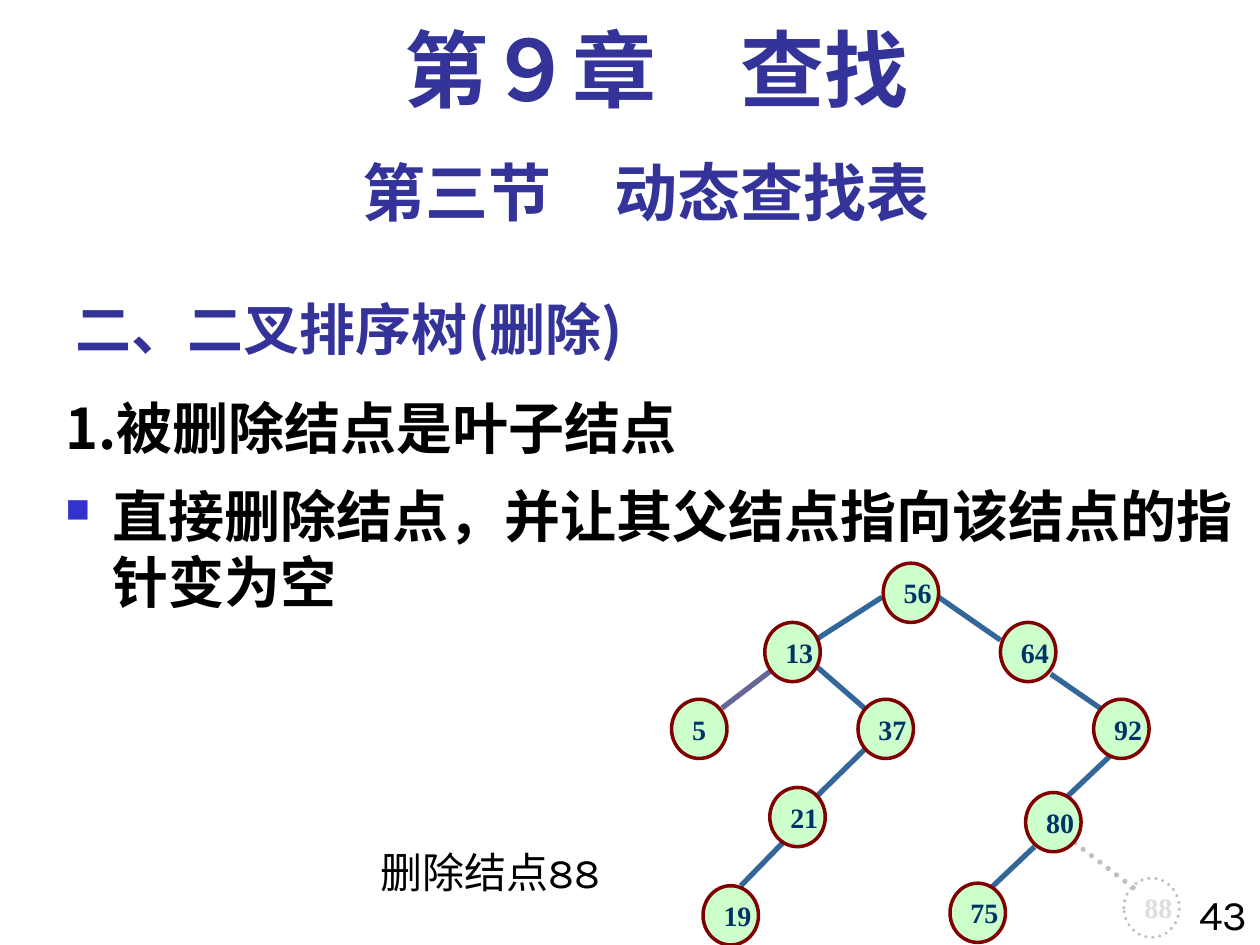
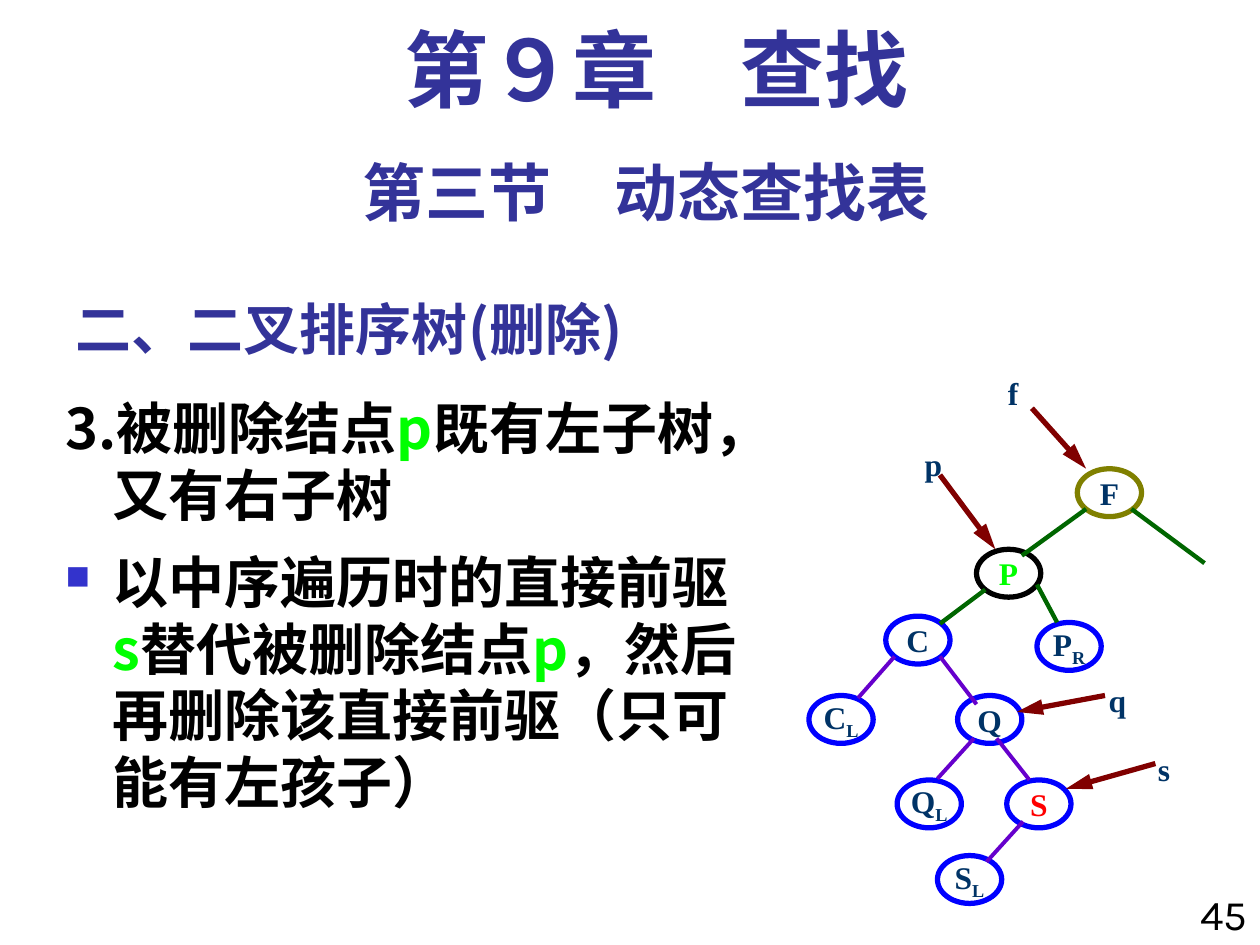
"""Builds two slides on deleting nodes from a binary search tree."""
from dataclasses import dataclass

from lxml import etree
from pptx import Presentation
from pptx.dml.color import RGBColor
from pptx.enum.dml import MSO_LINE
from pptx.enum.shapes import MSO_CONNECTOR, MSO_SHAPE
from pptx.enum.text import MSO_ANCHOR, MSO_AUTO_SIZE, PP_ALIGN
from pptx.oxml.ns import qn
from pptx.util import Inches, Pt

LEFT, CENTER, RIGHT = PP_ALIGN.LEFT, PP_ALIGN.CENTER, PP_ALIGN.RIGHT
TOP, MIDDLE, BOTTOM = MSO_ANCHOR.TOP, MSO_ANCHOR.MIDDLE, MSO_ANCHOR.BOTTOM
OVAL, STRAIGHT = MSO_SHAPE.OVAL, MSO_CONNECTOR.STRAIGHT
DOTTED, NO_AUTOFIT = MSO_LINE.ROUND_DOT, MSO_AUTO_SIZE.NONE
TITLE_ONLY, COLUMNS = 5, 100


@dataclass(frozen=True)
class Theme:
    """Colours, fonts and type sizes shared by the slides."""
    heading: str = "333399"
    ink: str = "000000"
    bullet: str = "3333CC"
    highlight: str = "00FF00"
    alert: str = "FF0000"
    node_text: str = "003366"
    node_fill: str = "CCFFCC"
    maroon: str = "800000"
    edge: str = "336699"
    leaf_edge: str = "666699"
    removed_fill: str = "FFFFFF"
    removed_line: str = "C0C0C0"
    removed_text: str = "DDDDDD"
    parent: str = "808000"
    subtree: str = "0000FF"
    upper_edge: str = "006600"
    lower_edge: str = "6600CC"
    sans: str = "Karla"
    serif: str = "Times New Roman"
    chinese: str = "Noto Sans CJK SC"
    chapter_size: int = 48
    section_size: int = 36
    body_size: int = 32
    note_size: int = 24
    label_size: int = 18
    number_size: int = 16
    leading: float = 1.2
    tight_leading: float = 1.08


THEME = Theme()


class Deck:
    """Holds the theme and the current slide, and draws elements on a 100 by 75 grid."""

    def __init__(self, theme):
        self.theme = theme
        self.presentation = Presentation()
        self.presentation.slide_width = Inches(10)
        self.presentation.slide_height = Inches(7.5)
        self.cell = self.presentation.slide_width / COLUMNS
        self.slide = None

    def grid(self, *values):
        """Turns grid units into lengths."""
        return [round(value * self.cell) for value in values]

    def apply(self, target, values):
        """Sets every attribute named in a dict."""
        for name, value in values.items():
            setattr(target, name, value)

    def add_runs(self, paragraph, runs, size, font, color, bold=True, align=LEFT, leading=None):
        """Fills a paragraph with (text, colour, baseline) runs."""
        spacing = Pt(round(size * leading)) if leading else None
        self.apply(paragraph, {"alignment": align, "line_spacing": spacing})
        for text, run_color, baseline in runs:
            run = paragraph.add_run()
            run.text = text
            self.apply(run.font, {"size": Pt(size), "name": font, "bold": bold})
            run.font.color.rgb = RGBColor.from_string(run_color or color)
            properties = run._r.get_or_add_rPr()
            etree.SubElement(properties, qn("a:ea"), typeface=self.theme.chinese)
            if baseline:
                properties.set("baseline", str(baseline * 1000))

    def frame(self, shape, anchor=TOP, wrap=True):
        """Prepares the text frame of a shape."""
        self.apply(shape.text_frame, {
            "word_wrap": wrap, "vertical_anchor": anchor, "auto_size": NO_AUTOFIT})
        return shape.text_frame

    def text(self, box, text, wrap=True, **style):
        """Adds a one-paragraph text box."""
        frame = self.frame(self.slide.shapes.add_textbox(*self.grid(*box)), wrap=wrap)
        self.add_runs(frame.paragraphs[0], [(text, None, 0)], **style)

    def label(self, box, text, wrap=False):
        """Adds a pointer name beside a tree."""
        theme = self.theme
        self.text(box, text, wrap, size=theme.label_size, font=theme.serif,
                  color=theme.node_text)

    def note(self, box, text, align=LEFT):
        """Adds plain text in the small sans style."""
        theme = self.theme
        self.text(box, text, size=theme.note_size, font=theme.sans, color=theme.ink,
                  bold=False, align=align, leading=theme.leading)

    def start(self, page):
        """Adds a slide with the shared headings and page number."""
        theme = self.theme
        layout = self.presentation.slide_layouts[TITLE_ONLY]
        self.slide = self.presentation.slides.add_slide(layout)
        title = self.slide.shapes.title
        bounds = self.grid(5, 21.7, 62.5, 7.5)
        self.apply(title, dict(zip(("left", "top", "width", "height"), bounds)))
        frame = self.frame(title, BOTTOM)
        self.add_runs(frame.paragraphs[0], [("二、二叉排序树(删除)", None, 0)],
                      theme.body_size, theme.chinese, theme.heading, leading=theme.leading)
        self.text((6.7, 1.7, 90.8, 8.3), "第９章　查找", size=theme.chapter_size,
                  font=theme.serif, color=theme.heading, align=CENTER,
                  leading=theme.tight_leading)
        self.text((5, 11.7, 92.5, 7), "第三节　动态查找表", size=theme.section_size,
                  font=theme.sans, color=theme.heading, align=CENTER,
                  leading=theme.leading)
        self.note((93.3, 70, 6.7, 5), page, RIGHT)

    def body(self, width, heading, point):
        """Adds a numbered heading followed by a bulleted point."""
        theme = self.theme
        box = self.grid(4.2, 30.8, width, 44.2)
        frame = self.frame(self.slide.shapes.add_textbox(*box))
        first, second = frame.paragraphs[0], frame.add_paragraph()
        indent, = self.grid(3.75)
        for paragraph in (first, second):
            properties = paragraph._p.get_or_add_pPr()
            properties.set("marL", str(indent))
            properties.set("indent", str(-indent))
        properties = second._p.get_or_add_pPr()
        color = etree.SubElement(properties, qn("a:buClr"))
        etree.SubElement(color, qn("a:srgbClr"), val=theme.bullet)
        etree.SubElement(properties, qn("a:buSzPct"), val="60000")
        etree.SubElement(properties, qn("a:buChar"), char="■")
        second.space_before = Pt(12)
        for paragraph, runs in ((first, heading), (second, point)):
            self.add_runs(paragraph, runs, theme.body_size, theme.chinese, theme.ink,
                          leading=theme.leading)

    def node(self, box, runs, line, weight, size, color, fill=None, align=LEFT, dash=None):
        """Adds an elliptical tree node."""
        shape = self.slide.shapes.add_shape(OVAL, *self.grid(*box))
        shape.shadow.inherit = False
        if fill:
            shape.fill.solid()
            shape.fill.fore_color.rgb = RGBColor.from_string(fill)
        else:
            shape.fill.background()
        self.outline(shape.line, line, weight, dash)
        frame = self.frame(shape, MIDDLE, wrap=False)
        self.add_runs(frame.paragraphs[0], runs, size, self.theme.serif, color, align=align)

    def outline(self, line, color, weight, dash=None):
        """Formats a line or outline."""
        line.color.rgb = RGBColor.from_string(color)
        self.apply(line, {"width": Pt(weight), "dash_style": dash})
        if dash:
            line._get_or_add_ln().set("cap", "rnd")

    def edge(self, ends, color, weight, dash=None, arrow=False):
        """Adds a straight edge, or an arrow."""
        connector = self.slide.shapes.add_connector(STRAIGHT, *self.grid(*ends))
        self.outline(connector.line, color, weight, dash)
        if arrow:
            etree.SubElement(connector.line._get_or_add_ln(), qn("a:tailEnd"),
                             type="triangle", w="med", len="lg")
        etree.SubElement(connector._element.spPr, qn("a:effectLst"))


def leaf_slide(deck):
    """Draws the deletion of a leaf."""
    theme = deck.theme
    deck.start("43")
    deck.body(95.8, [("1.被删除结点是叶子结点", None, 0)],
              [("直接删除结点，并让其父结点指向该结点的指针变为空", None, 0)])
    deck.note((29.2, 66.7, 20.8, 5), "删除结点88")
    width, height = 4.4, 4.7
    deck.node((89.2, 69.7, width, height), [("88", None, 0)], theme.removed_line, 2,
              theme.number_size, theme.removed_text, theme.removed_fill, dash=DOTTED)
    deck.edge((85.3, 66.9, 90, 70.5), theme.removed_line, 3, DOTTED)
    deck.edge((61.1, 53.3, 57.3, 56.2), theme.leaf_edge, 3)
    edges = [(70, 47.4, 64.7, 50.8), (74.5, 47.4, 79.4, 50.8), (64.7, 52.8, 68.6, 56.2),
             (68.6, 59.5, 63.8, 64.2), (83.4, 53.5, 87.3, 56.2), (88.1, 60, 84.3, 63.6),
             (62.7, 66.3, 58.8, 70.3), (82.1, 67.2, 78.3, 70.8)]
    for ends in edges:
        deck.edge(ends, theme.edge, 3)
    nodes = {"56": (70.1, 44.7), "13": (60.7, 49.4), "64": (79.4, 49.4),
             "5": (53.3, 55.5), "37": (68.1, 55.5), "92": (86.8, 55.5),
             "21": (61.1, 62.5), "80": (81.4, 62.9), "19": (55.8, 70.3),
             "75": (75.4, 70.1)}
    for number, corner in nodes.items():
        deck.node((*corner, width, height), [(number, None, 0)], theme.maroon, 2,
                  theme.number_size, theme.node_text, theme.node_fill)


def two_subtrees_slide(deck):
    """Draws the deletion of a node with two subtrees."""
    theme = deck.theme
    green = theme.highlight
    deck.start("45")
    deck.body(56.7,
              [("3.被删除结点", None, 0), ("p", green, 0),
               ("既有左子树，又有右子树", None, 0)],
              [("以中序遍历时的直接前驱", None, 0), ("s", green, 0),
               ("替代被删除结点", None, 0), ("p", green, 0),
               ("，然后再删除该直接前驱（只可能有左孩子）", None, 0)])
    nodes = [("F", "", 85.5, 37.2, theme.parent, None), ("P", "", 77.5, 43.6, theme.ink, green),
             ("S", "", 79.9, 61.9, theme.subtree, theme.alert)]
    nodes += [(*node, theme.subtree, None) for node in (
        ("C", "", 70.3, 48.9), ("P", "R", 82.3, 49.4), ("C", "L", 64.2, 55.2),
        ("Q", "", 76, 55.2), ("Q", "L", 71.2, 61.9), ("S", "L", 74.4, 67.9))]
    for name, child, left, top, line, color in nodes:
        runs = [(name, color, 0)] + ([(child, color, -25)] if child else [])
        deck.node((left, top, 5.1, 3.8), runs, line, 3, theme.label_size,
                  theme.node_text, align=CENTER)
    upper = [(86.2, 40.4, 81.1, 44.1), (89.8, 40.4, 95.6, 44.7),
             (78.2, 46.8, 74.6, 49.5), (82.3, 46.4, 83.9, 49.4)]
    lower = [(71, 52.1, 68.1, 55.4), (74.6, 52.1, 77.5, 55.9), (77.3, 58.6, 74.4, 61.8),
             (79.1, 58.6, 81.7, 61.9), (81.2, 65.2, 78.3, 68.4)]
    pointers = [(81.9, 32.4, 86.2, 37.2), (74.6, 37.7, 79, 43.6),
                (87.7, 55.2, 80.7, 56.5), (91.7, 60.6, 84.6, 62.6)]
    for group, color, weight, arrow in ((upper, theme.upper_edge, 2.5, False),
                                        (lower, theme.lower_edge, 2.25, False),
                                        (pointers, theme.maroon, 3, True)):
        for ends in group:
            deck.edge(ends, color, weight, arrow=arrow)
    deck.label((79, 29.2, 3.2, 4), "f", wrap=True)
    deck.label((72.4, 34.8, 3.4, 4), "p")
    deck.label((87, 53.6, 3.4, 4), "q")
    deck.label((90.9, 59, 2.9, 4), "s")


def main():
    """Builds and saves the presentation."""
    deck = Deck(THEME)
    leaf_slide(deck)
    two_subtrees_slide(deck)
    deck.presentation.save("out.pptx")


if __name__ == "__main__":
    main()
